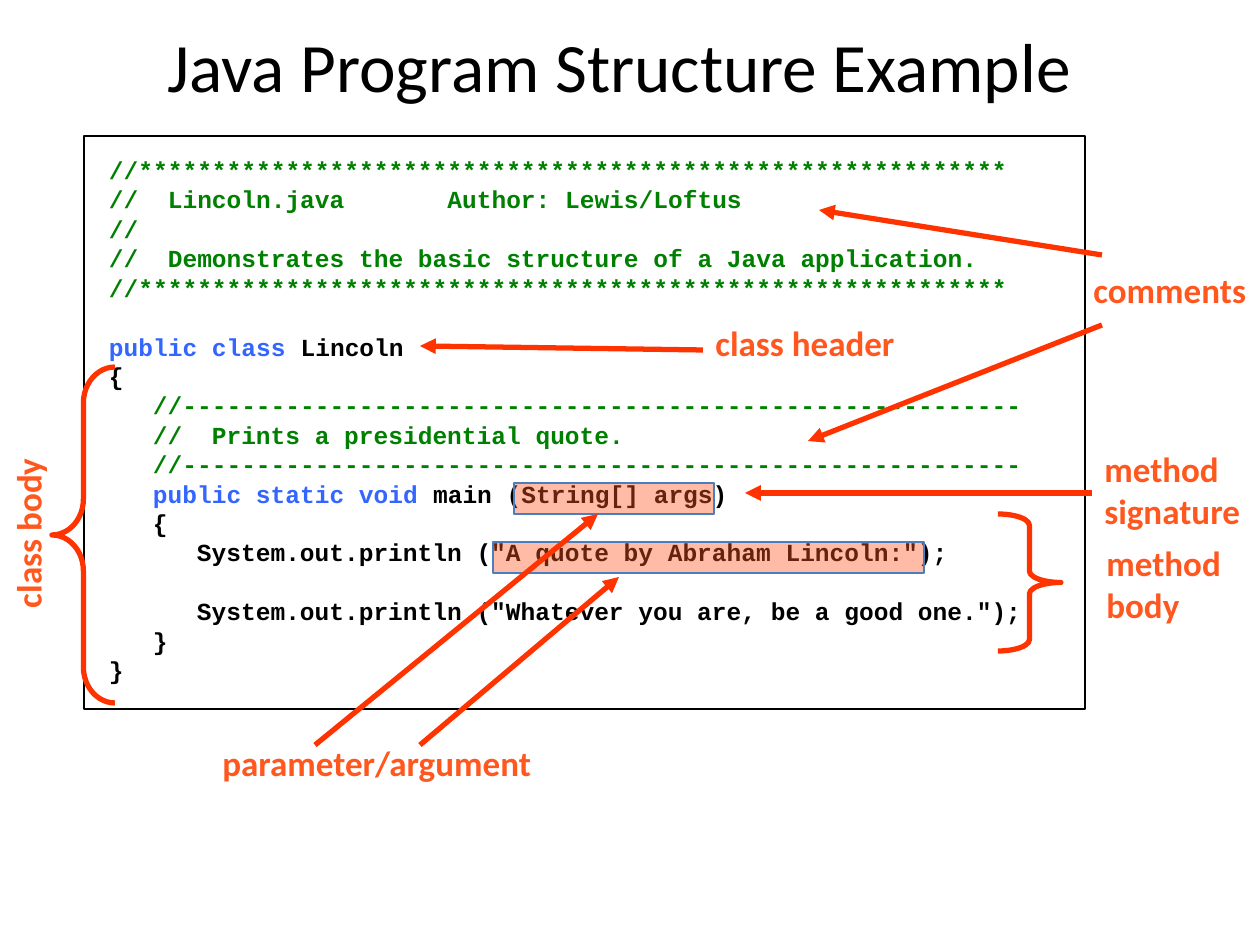
import pptx
import pptx.util
import pptx.dml.color
import pptx.enum.shapes
import pptx.enum.text
import pptx.oxml
import pptx.oxml.ns
import lxml.etree

Pt = pptx.util.Pt
RGB = pptx.dml.color.RGBColor
SHAPE = pptx.enum.shapes.MSO_SHAPE
ANCHOR = pptx.enum.text.MSO_ANCHOR
qn = pptx.oxml.ns.qn

BLACK = RGB(0x00, 0x00, 0x00)
WHITE = RGB(0xFF, 0xFF, 0xFF)
GREEN = RGB(0x00, 0x80, 0x00)
BLUE = RGB(0x33, 0x66, 0xFF)
ORANGE = RGB(0xFF, 0x57, 0x1E)
RED = RGB(0xFF, 0x33, 0x00)
EDGE = RGB(0x4B, 0x7E, 0xBC)

PITCH = 16.8   # points from one code line to the next
TAB = 44       # pixels per level of code


def px(n):
    return pptx.util.Emu(round(n * 914400 / 126))


class Page:
    sans = "Calibri"
    mono = "Courier New"

    def __init__(self, slide):
        self.slide = slide
        self.shapes = slide.shapes

    def font(self, run, name, size, color, bold=True):
        run.font.name = name
        run.font.size = Pt(size)
        run.font.color.rgb = color
        run.font.bold = bold

    def title(self, text, *box):
        shape = self.shapes.title
        shape.left, shape.top, shape.width, shape.height = map(px, box)
        frame = shape.text_frame
        frame.text = text
        frame.vertical_anchor = ANCHOR.MIDDLE
        para = frame.paragraphs[0]
        para.alignment = pptx.enum.text.PP_ALIGN.CENTER
        self.font(para.runs[0], self.sans, 39.6, BLACK, False)

    def shape(self, kind, box, fill, line, width):
        shape = self.shapes.add_shape(kind, *map(px, box))
        shape.shadow.inherit = False
        if fill is None:
            shape.fill.background()
        else:
            shape.fill.solid()
            shape.fill.fore_color.rgb = fill
        shape.line.color.rgb = line
        shape.line.width = Pt(width)
        return shape

    def code(self, lines, *box):
        shape = self.shape(SHAPE.RECTANGLE, box, WHITE, BLACK, 0.75)
        frame = shape.text_frame
        frame.word_wrap = True
        frame.vertical_anchor = ANCHOR.TOP
        frame.margin_left = frame.margin_right = px(25)
        frame.margin_top = frame.margin_bottom = px(19)
        for i, (level, gap, parts) in enumerate(lines):
            para = frame.paragraphs[0] if i == 0 else frame.add_paragraph()
            para.alignment = pptx.enum.text.PP_ALIGN.LEFT
            para.line_spacing = Pt(PITCH)
            para.space_before = Pt(PITCH * gap)
            para._p.get_or_add_pPr().set("marL", str(px(TAB * level)))
            for text, color in parts:
                run = para.add_run()
                run.text = text
                self.font(run, self.mono, 14, color)

    def label(self, text, *box, turn=0):
        shape = self.shapes.add_textbox(*map(px, box))
        shape.rotation = turn
        frame = shape.text_frame
        frame.word_wrap = not turn
        frame.text = text
        self.font(frame.paragraphs[0].runs[0], self.sans, 20, ORANGE)

    def arrow(self, *ends):
        kind = pptx.enum.shapes.MSO_CONNECTOR.STRAIGHT
        line = self.shapes.add_connector(kind, *map(px, ends))
        line.line.color.rgb = RED
        line.line.width = Pt(3)
        tip = lxml.etree.SubElement(line.line._get_or_add_ln(), qn("a:tailEnd"))
        tip.set("type", "triangle")
        lxml.etree.SubElement(line._element.spPr, qn("a:effectLst"))

    def brace(self, bend, *box, flip=False):
        shape = self.shape(SHAPE.RIGHT_BRACE, box, None, RED, 3)
        shape.adjustments[0] = bend
        shape.adjustments[1] = 0.5
        if flip:
            shape._element.spPr.find(qn("a:xfrm")).set("flipH", "1")

    def mark(self, *box):
        shape = self.shape(SHAPE.RECTANGLE, box, ORANGE, EDGE, 0.75)
        color = shape._element.spPr.find(qn("a:solidFill"))[0]
        lxml.etree.SubElement(color, qn("a:alpha")).set("val", "40000")


deck = pptx.Presentation()
deck.slide_width, deck.slide_height = px(1260), px(945)
page = Page(deck.slides.add_slide(deck.slide_layouts[5]))

page.title("Java Program Structure Example", 21, 16, 1197, 98)

# Code listing: level, blank lines above, coloured parts
stars = "//" + "*" * 59
rule = "//" + "-" * 57
page.code([
    (0, 0, [(stars, GREEN)]),
    (0, 0, [("//  Lincoln.java       Author: Lewis/Loftus", GREEN)]),
    (0, 0, [("//", GREEN)]),
    (0, 0, [("//  Demonstrates the basic structure of a Java application.", GREEN)]),
    (0, 0, [(stars, GREEN)]),
    (0, 1, [("public class ", BLUE), ("Lincoln", BLACK)]),
    (0, 0, [("{", BLACK)]),
    (1, 0, [(rule, GREEN)]),
    (1, 0, [("//  Prints a presidential quote.", GREEN)]),
    (1, 0, [(rule, GREEN)]),
    (1, 0, [("public static void ", BLUE), ("main (String[] args)", BLACK)]),
    (1, 0, [("{", BLACK)]),
    (2, 0, [('System.out.println ("A quote by Abraham Lincoln:");', BLACK)]),
    (2, 1, [('System.out.println ("Whatever you are, be a good one.");', BLACK)]),
    (1, 0, [("}", BLACK)]),
    (0, 0, [("}", BLACK)]),
], 84, 136, 1001, 573)

# Class header and body
page.label("class header", 703, 315, 234, 54)
page.arrow(703, 350, 420, 346)
page.label("class body", -60, 505, 176, 55, turn=270)
page.brace(0.57, 52, 367, 63, 336, flip=True)

# Comments
page.label("comments", 1081, 262, 189, 54)
page.arrow(1102, 255, 819, 210)
page.arrow(1102, 325, 808, 441)

# Method signature and body
page.label("method signature", 1092, 441, 189, 97)
page.label("method body", 1094, 535, 166, 97)
page.brace(0.18, 998, 514, 63, 137)
page.arrow(1092, 493, 745, 493)

# Parameter and argument
page.mark(514, 483, 200, 31)
page.label("parameter/argument", 210, 735, 388, 55)
page.mark(493, 542, 431, 31)
page.arrow(315, 745, 598, 514)
page.arrow(420, 745, 619, 577)

deck.save("out.pptx")
